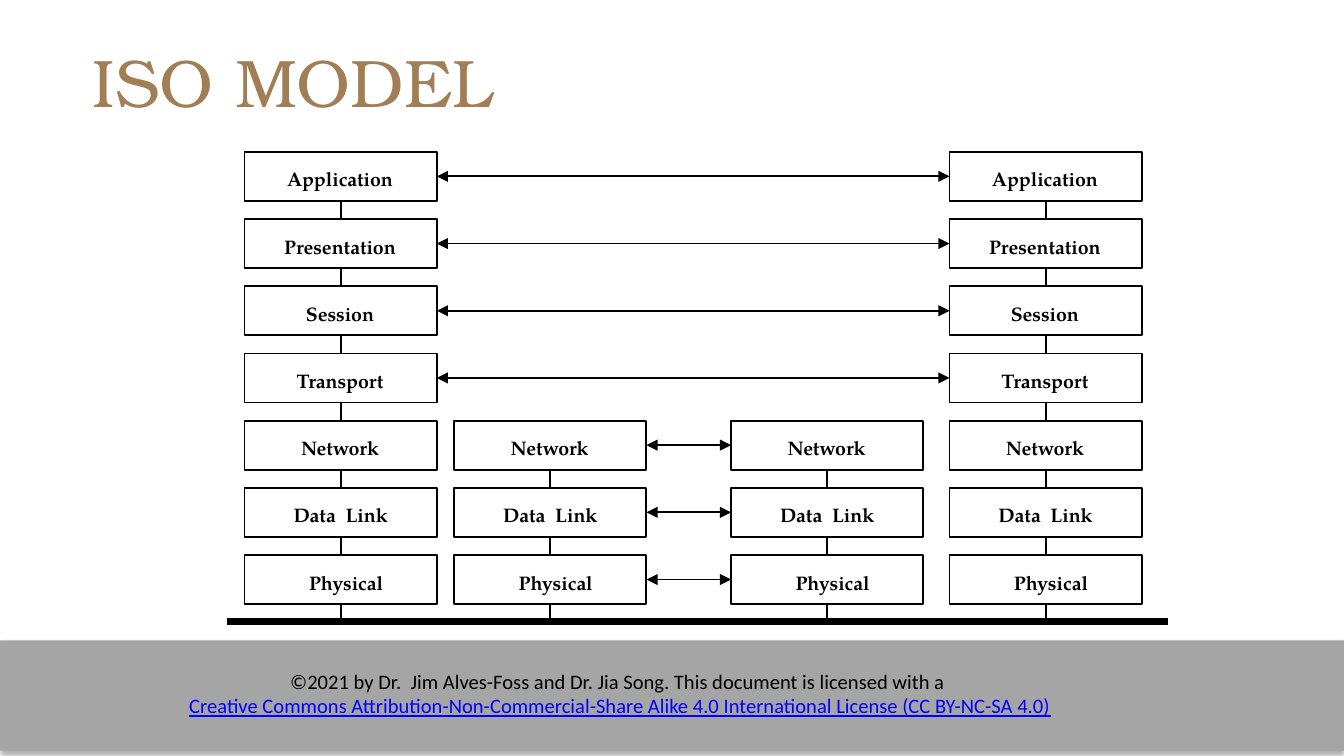
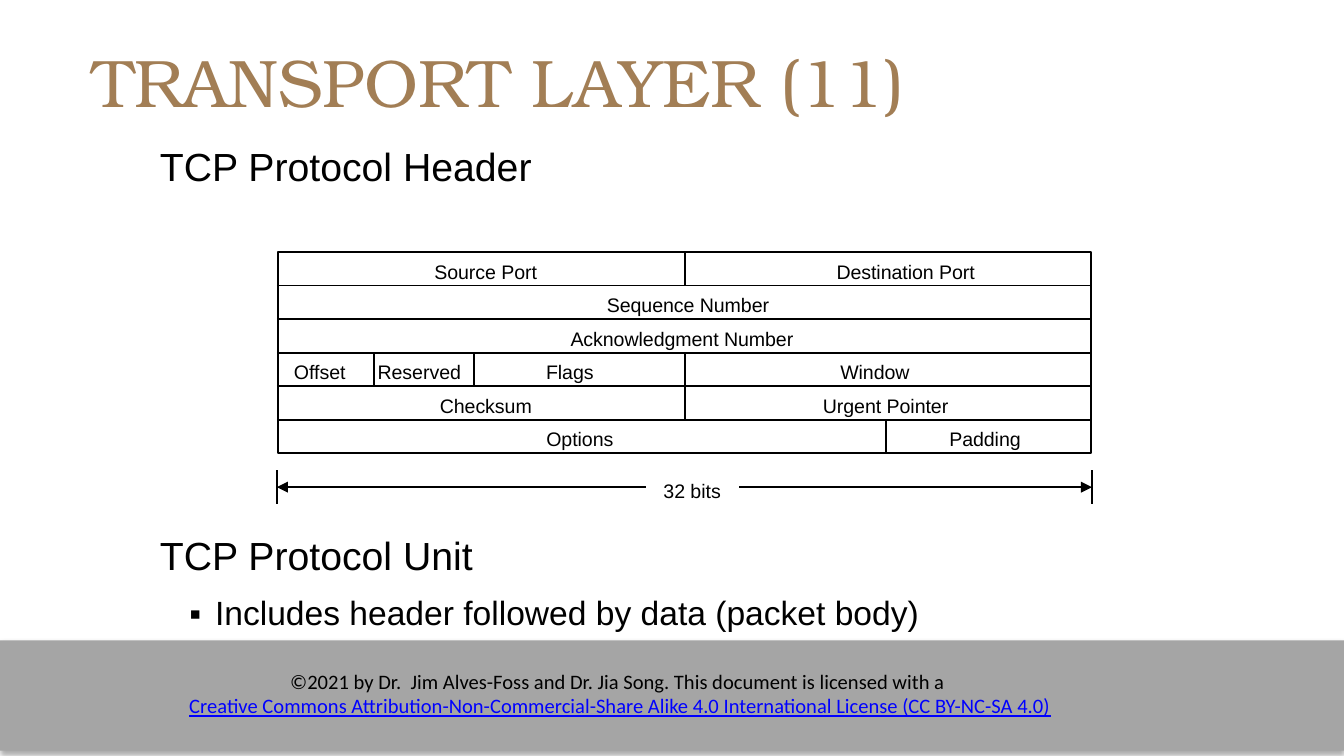
from dataclasses import dataclass

from lxml.etree import SubElement
from pptx import Presentation
from pptx.dml.color import RGBColor
from pptx.enum.shapes import MSO_CONNECTOR, MSO_SHAPE
from pptx.enum.text import MSO_ANCHOR, MSO_AUTO_SIZE, PP_ALIGN
from pptx.oxml.ns import qn
from pptx.util import Emu, Pt

PX = 4572


@dataclass(frozen=True)
class Theme:
    black: str = "000000"
    white: str = "FFFFFF"
    title: str = "A27E55"
    band: str = "A5A5A5"
    link: str = "0000FF"
    title_font: str = "TeX Gyre Bonum"
    layer_font: str = "TeX Gyre Pagella"
    body_font: str = "Arial"
    footer_font: str = "Calibri"
    title_size: float = 36
    heading_size: float = 21
    bullet_size: float = 18
    footer_size: float = 11
    label_size: float = 10.5
    thin: float = 1
    thick: float = 4


class Deck:
    def __init__(self, theme, width, height):
        self.theme = theme
        self.prs = Presentation()
        self.prs.slide_width, self.prs.slide_height = self.px(width, height)
        self.s = None

    def px(self, *lengths):
        return [Emu(n * PX) for n in lengths]

    def slide(self, layout, title):
        self.s = self.prs.slides.add_slide(self.prs.slide_layouts[layout])
        t = self.theme
        tf = self.place(self.s.shapes.title, 138, 60, 1724, 150)
        p = tf.paragraphs[0]
        p.alignment = PP_ALIGN.LEFT
        self.run(p, title, t.title_font, t.title_size, t.title)

    def place(self, sp, x, y, w, h):
        sp.left, sp.top, sp.width, sp.height = self.px(x, y, w, h)
        return self.frame(sp, 0, 0, True)

    def frame(self, sp, inset_x, inset_y, wrap):
        tf = sp.text_frame
        tf.auto_size = MSO_AUTO_SIZE.NONE
        tf.word_wrap = wrap
        tf.vertical_anchor = MSO_ANCHOR.TOP
        tf.margin_left, tf.margin_right = self.px(inset_x, inset_x)
        tf.margin_top, tf.margin_bottom = self.px(inset_y, inset_y)
        return tf

    def run(self, p, text, font, size, color, bold=False, underline=False):
        r = p.add_run()
        r.text = text
        r.font.name = font
        r.font.size = Pt(size)
        r.font.color.rgb = RGBColor.from_string(color)
        r.font.bold = bold
        r.font.underline = underline

    def rect(self, x, y, w, h, fill, outlined=True):
        sp = self.s.shapes.add_shape(MSO_SHAPE.RECTANGLE, *self.px(x, y, w, h))
        sp.fill.solid()
        sp.fill.fore_color.rgb = RGBColor.from_string(fill)
        if outlined:
            sp.line.color.rgb = RGBColor.from_string(self.theme.black)
            sp.line.width = Pt(self.theme.thin)
        else:
            sp.line.fill.background()
        sp.shadow.inherit = False
        return sp

    def label(self, text, x, y, w, font, bold=False):
        sp = self.s.shapes.add_textbox(*self.px(x, y, w, 50))
        p = self.frame(sp, 15, 8, False).paragraphs[0]
        p.alignment = PP_ALIGN.CENTER
        self.run(p, text, font, self.theme.label_size, self.theme.black, bold)

    def line(self, x1, y1, x2, y2, width=None, heads=()):
        c = self.s.shapes.add_connector(MSO_CONNECTOR.STRAIGHT, *self.px(x1, y1, x2, y2))
        c.line.color.rgb = RGBColor.from_string(self.theme.black)
        c.line.width = Pt(width or self.theme.thin)
        spPr = c.element.spPr
        for end in heads:
            SubElement(spPr.find(qn("a:ln")), qn(f"a:{end}")).set("type", "triangle")
        SubElement(spPr, qn("a:effectLst"))
        return c

    def join(self, first, first_side, second, second_side, heads=()):
        c = self.line(0, 0, 0, 0, heads=heads)
        c.begin_connect(first, first_side)
        c.end_connect(second, second_side)

    def paragraph(self, p, text, size, spacing, before, bullet=None):
        p.line_spacing = spacing
        p.space_before = Pt(before)
        pPr = p._p.get_or_add_pPr()
        margin, indent = (82, -38) if bullet else (0, 0)
        pPr.set("marL", str(margin * PX))
        pPr.set("indent", str(indent * PX))
        if bullet:
            p.level = 1
            color = SubElement(pPr, qn("a:buClr"))
            SubElement(color, qn("a:srgbClr")).set("val", self.theme.black)
            SubElement(pPr, qn("a:buFont")).set("typeface", self.theme.body_font)
            SubElement(pPr, qn("a:buChar")).set("char", bullet)
        else:
            SubElement(pPr, qn("a:buNone"))
        self.run(p, text, self.theme.body_font, size, self.theme.black)

    def master_footer(self, notice, licence):
        t = self.theme
        band = self.rect(0, 953, 2000, 164, t.band, outlined=False)
        effects = band.element.spPr.find(qn("a:effectLst"))
        shadow = SubElement(effects, qn("a:outerShdw"), blurRad=str(Pt(3.1)),
                            dist=str(Pt(1.8)), dir="5400000", rotWithShape="0")
        color = SubElement(shadow, qn("a:srgbClr"), val=t.black)
        SubElement(color, qn("a:alpha"), val="35000")
        text = self.s.shapes.add_textbox(*self.px(203, 985, 1440, 94))
        tf = self.frame(text, 20, 10, True)
        p = tf.paragraphs[0]
        p.alignment = PP_ALIGN.CENTER
        self.run(p, notice, t.footer_font, t.footer_size, t.black)
        p = tf.add_paragraph()
        p.alignment = PP_ALIGN.CENTER
        self.run(p, licence, t.footer_font, t.footer_size, t.link, underline=True)
        tree = self.prs.slide_master.element.find(".//" + qn("p:spTree"))
        for sp in (band, text):
            tree.append(sp.element)


LAYERS = [
    ("Application", 47, 190),
    ("Presentation", 43, 198),
    ("Session", 76, 132),
    ("Transport", 61, 162),
    ("Network", 67, 150),
    ("Data  Link", 57, 172),
    ("Physical", 80, 142),
]
STACKS = [(364, 0), (676, 4), (1088, 4), (1413, 0)]

HEADER_ROWS = [
    ([("Source Port", 630, 186), ("Destination Port", 1228, 240)], [1019]),
    ([("Sequence Number", 886, 276)], []),
    ([("Acknowledgment Number", 831, 368)], []),
    ([("Offset", 422, 108), ("Reserved", 546, 156), ("Flags", 797, 102), ("Window", 1234, 136)],
     [556, 706, 1019]),
    ([("Checksum", 638, 170), ("Urgent Pointer", 1208, 220)], [1019]),
    ([("Options", 797, 132), ("Padding", 1396, 140)], [1318]),
]


def iso_model(deck):
    box_w, box_h, top, step, bar_y = 286, 73, 226, 100, 925
    both = ("headEnd", "tailEnd")
    stacks = []
    for x, first in STACKS:
        boxes = {}
        for i, (name, dx, w) in list(enumerate(LAYERS))[first:]:
            y = top + i * step
            boxes[i] = deck.rect(x, y, box_w, box_h, deck.theme.white)
            deck.label(name, x + dx, y + 15, w, deck.theme.layer_font, bold=True)
            if i > first:
                deck.join(boxes[i - 1], 2, boxes[i], 0)
        center = x + box_w // 2
        drop = deck.line(center, y + box_h, center, bar_y)
        drop.begin_connect(boxes[i], 2)
        stacks.append(boxes)
    deck.line(338, bar_y, 1738, bar_y, width=deck.theme.thick)
    left_host, left_router, right_router, right_host = stacks
    for i in range(len(LAYERS)):
        left, right = (left_router, right_router) if i in left_router else (left_host, right_host)
        deck.join(left[i], 3, right[i], 1, heads=both)


def tcp_header(deck):
    t = deck.theme
    tf = deck.place(deck.s.placeholders[1], 238, 210, 1724, 788)
    deck.paragraph(tf.paragraphs[0], "TCP Protocol Header", t.heading_size, 1.03, 0)
    deck.paragraph(tf.add_paragraph(), "TCP Protocol Unit", t.heading_size, 1.03, 182.4)
    deck.paragraph(tf.add_paragraph(), "Includes header followed by data (packet body)",
                   t.bullet_size, 0.95, 9, "▪")

    left, right, top, row_h = 412, 1625, 375, 50
    deck.rect(left + 2, top, right - left - 3, row_h * len(HEADER_ROWS) - 1, t.white)
    for i, (fields, dividers) in enumerate(HEADER_ROWS):
        y = top + i * row_h
        if i:
            deck.line(left, y, right, y)
        for x in dividers:
            deck.line(x, y, x, y + row_h)
        for name, x, w in fields:
            deck.label(name, x, y + 3, w, t.body_font)

    for x in (left, right):
        deck.line(x, 700, x, 750)
    deck.line(left, 725, 962, 725, heads=["headEnd"])
    deck.line(1100, 725, right, 725, heads=["tailEnd"])
    deck.label("32 bits", 971, 704, 118, t.body_font)


def main():
    deck = Deck(Theme(), 2000, 1125)
    deck.slide(5, "ISO MODEL")
    deck.master_footer(
        "©2021 by Dr.  Jim Alves-Foss and Dr. Jia Song. This document is licensed with a ",
        "Creative Commons Attribution-Non-Commercial-Share Alike 4.0 International License (CC BY-NC-SA 4.0)",
    )
    iso_model(deck)
    deck.slide(1, "TRANSPORT LAYER (11)")
    tcp_header(deck)
    deck.prs.save("out.pptx")


if __name__ == "__main__":
    main()
